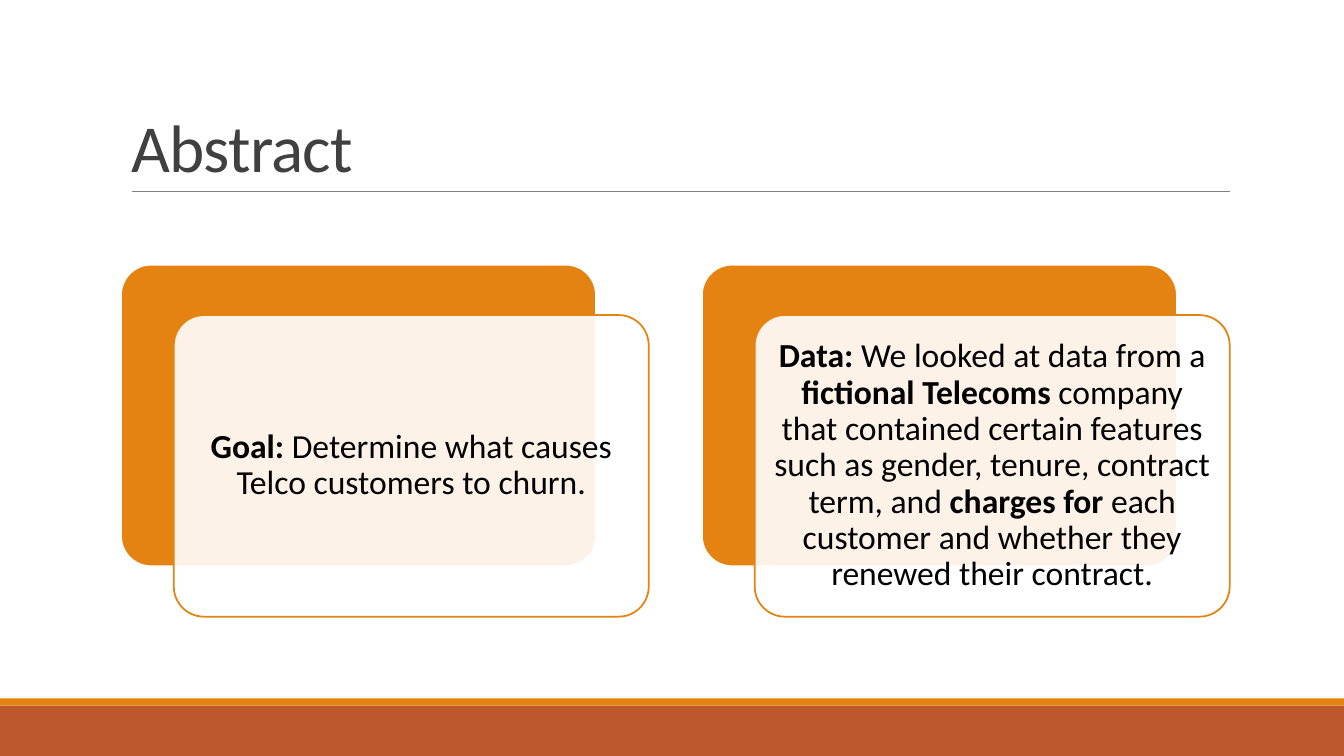
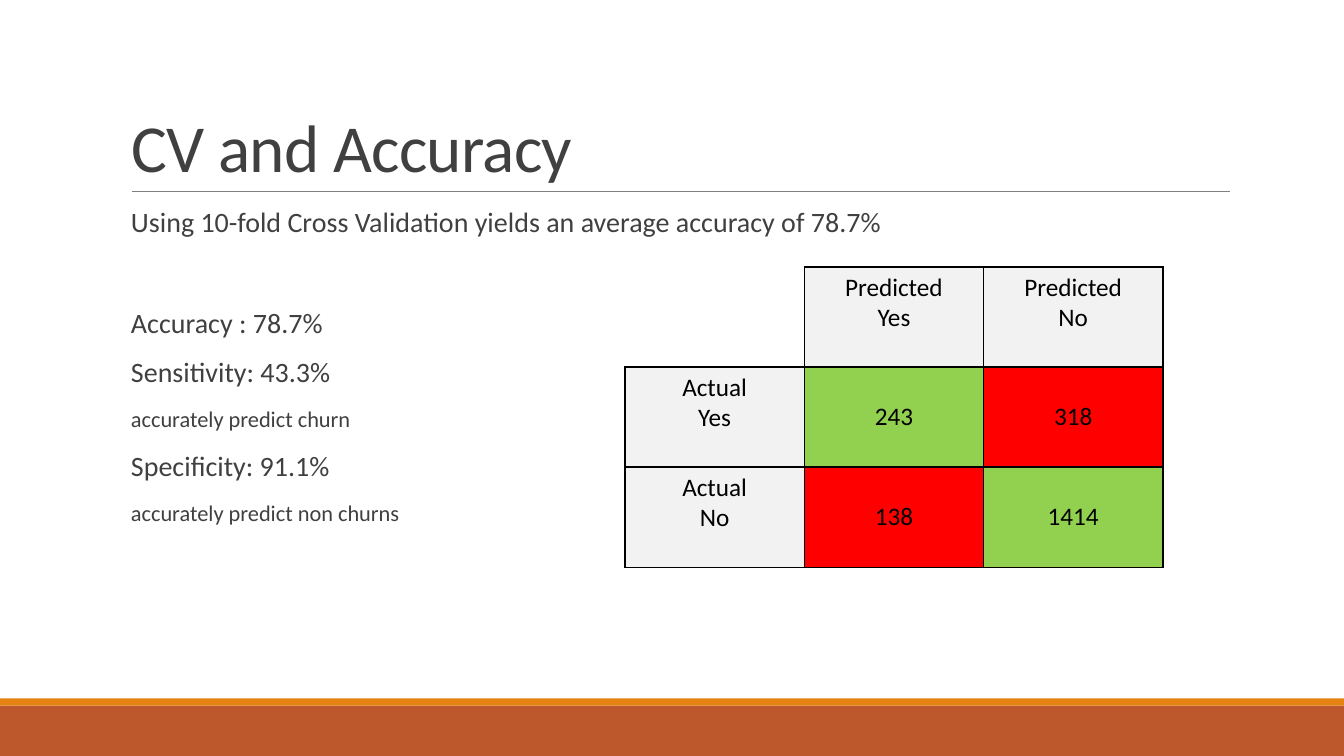
from lxml import etree
from pptx import Presentation
from pptx.dml.color import RGBColor
from pptx.enum import shapes, text
from pptx.oxml import ns
from pptx.util import Cm, Pt

FONT = "Calibri"
COLORS = {
    "rust": "BD582C", "orange": "E48312", "rule": "808080", "ink": "404040",
    "black": "000000", "white": "FFFFFF", "header": "F2F2F2",
    "correct": "92D050", "wrong": "FF0000",
}


def rgb(name):
    return RGBColor.from_string(COLORS[name])


def style_runs(paragraph, size, color):
    for run in paragraph.runs:
        run.font.name = FONT
        run.font.size = Pt(size)
        run.font.color.rgb = rgb(color)


deck = Presentation()
deck.slide_width, deck.slide_height = Cm(33.87), Cm(19.05)

# Slides and titles
abstract = deck.slides.add_slide(deck.slide_layouts[5])
accuracy = deck.slides.add_slide(deck.slide_layouts[1])
for slide, heading in ((abstract, "Abstract"), (accuracy, "CV and Accuracy")):
    title = slide.shapes.title
    title.left, title.top, title.width, title.height = Cm(3.05), Cm(0.8), Cm(27.94), Cm(4.03)
    frame = title.text_frame
    frame.text = heading
    frame.auto_size = text.MSO_AUTO_SIZE.NONE
    frame.vertical_anchor = text.MSO_ANCHOR.BOTTOM
    heading_line = frame.paragraphs[0]
    heading_line.alignment = text.PP_ALIGN.LEFT
    heading_line.line_spacing = 0.85
    style_runs(heading_line, 48, "ink")
    heading_line.runs[0].font._element.set("spc", "-50")

# Footer bands and title rule, drawn once and moved to the slide master
master_parts = []
for top, height, color in ((17.78, 1.27, "rust"), (17.6, 0.18, "orange")):
    band = abstract.shapes.add_shape(
        shapes.MSO_SHAPE.RECTANGLE, 0, Cm(top), deck.slide_width, Cm(height))
    band.shadow.inherit = False
    band.fill.solid()
    band.fill.fore_color.rgb = rgb(color)
    band.line.fill.background()
    master_parts.append(band)
title_rule = abstract.shapes.add_connector(
    shapes.MSO_CONNECTOR.STRAIGHT, Cm(3.32), Cm(4.82), Cm(31), Cm(4.82))
title_rule.line.color.rgb = rgb("rule")
title_rule.line.width = Pt(0.5)
etree.SubElement(title_rule._element.spPr, ns.qn("a:effectLst"))
master_parts.append(title_rule)
for number, part in enumerate(master_parts, start=20):
    part._element._nvXxPr.cNvPr.id = number
    deck.slide_master.shapes._spTree.insert_element_before(part._element, "p:extLst")

# Abstract: two cards, each a white panel over an orange one
CARD_LEFT, CARD_TOP, CARD_PITCH = 3.05, 6.67, 14.64
CARD_WIDTH, CARD_HEIGHT = 11.97, 7.6
PANEL_SHIFT = (1.33, 1.27)
cards = [
    [("Goal: ", True), ("Determine what causes Telco customers to churn.", False)],
    [("Data:", True), (" We looked at data from a ", False),
     ("fictional Telecoms", True),
     (" company that contained certain features such as gender, tenure, "
      "contract term, and ", False),
     ("charges for", True),
     (" each customer and whether they renewed their contract.", False)],
]
for index, phrases in enumerate(cards):
    left = CARD_LEFT + index * CARD_PITCH
    for (dx, dy), fill, edge in (((0, 0), "orange", "white"),
                                 (PANEL_SHIFT, "white", "orange")):
        panel = abstract.shapes.add_shape(
            shapes.MSO_SHAPE.ROUNDED_RECTANGLE, Cm(left + dx), Cm(CARD_TOP + dy),
            Cm(CARD_WIDTH), Cm(CARD_HEIGHT))
        panel.adjustments[0] = 0.1
        panel.shadow.inherit = False
        panel.fill.solid()
        panel.fill.fore_color.rgb = rgb(fill)
        panel.line.color.rgb = rgb(edge)
        panel.line.width = Pt(1.25)
    # The front panel is slightly transparent and carries the text
    white = panel._element.spPr.find(ns.qn("a:solidFill"))[0]
    etree.SubElement(white, ns.qn("a:alpha"), val="90000")
    frame = panel.text_frame
    frame.word_wrap = True
    frame.vertical_anchor = text.MSO_ANCHOR.MIDDLE
    frame.margin_left = frame.margin_right = Cm(0.25)
    frame.margin_top = frame.margin_bottom = Cm(0.25)
    statement = frame.paragraphs[0]
    statement.alignment = text.PP_ALIGN.CENTER
    statement.line_spacing = 0.9
    for phrase, bold in phrases:
        run = statement.add_run()
        run.text = phrase
        run.font.bold = bold
    style_runs(statement, 24, "black")

# Accuracy: list of measures as (text, size, space before)
measures = [
    ("Using 10-fold Cross Validation yields an average accuracy of 78.7%", 20, 12),
    ("Accuracy : 78.7%", 20, 48),
    ("Sensitivity: 43.3%", 20, 12),
    ("accurately predict churn", 16, 12),
    ("Specificity: 91.1%", 20, 12),
    ("accurately predict non churns", 16, 12),
]
body = accuracy.placeholders[1]
body.left, body.top, body.width, body.height = Cm(3.05), Cm(5.13), Cm(27.94), Cm(11.18)
frame = body.text_frame
frame.text = "\n".join(measure for measure, _, _ in measures)
frame.auto_size = text.MSO_AUTO_SIZE.NONE
frame.margin_left = frame.margin_right = 0
for paragraph, (_, size, gap) in zip(frame.paragraphs, measures):
    properties = paragraph._p.get_or_add_pPr()
    properties.set("marL", str(Cm(0.25)))
    properties.set("indent", "0")
    etree.SubElement(properties, ns.qn("a:buNone"))
    paragraph.line_spacing = 0.9
    paragraph.space_before = Pt(gap)
    paragraph.space_after = Pt(2)
    style_runs(paragraph, size, "ink")

# Accuracy: confusion matrix
matrix = [
    ["", "Predicted\nYes", "Predicted\nNo"],
    ["Actual\nYes", "243", "318"],
    ["Actual\nNo", "138", "1414"],
]
confusion = accuracy.shapes.add_table(
    3, 3, Cm(15.75), Cm(6.73), Cm(13.56), Cm(7.56)).table
confusion.first_row = confusion.horz_banding = False
for column in confusion.columns:
    column.width = Cm(4.52)
for row in confusion.rows:
    row.height = Cm(2.52)
for r, labels in enumerate(matrix):
    for c, label in enumerate(labels):
        cell = confusion.cell(r, c)
        corner = r == c == 0
        for side in ("lnL", "lnR", "lnT", "lnB"):
            border = etree.SubElement(
                cell._tc.get_or_add_tcPr(), ns.qn("a:" + side), w=str(Pt(1)))
            if corner and side in ("lnL", "lnT"):
                etree.SubElement(border, ns.qn("a:noFill"))
            else:
                stroke = etree.SubElement(border, ns.qn("a:solidFill"))
                etree.SubElement(stroke, ns.qn("a:srgbClr"), val=COLORS["black"])
        if corner:
            cell.fill.background()
            continue
        is_count = r > 0 and c > 0
        cell.fill.solid()
        cell.fill.fore_color.rgb = rgb(
            "header" if not is_count else "correct" if r == c else "wrong")
        cell.vertical_anchor = text.MSO_ANCHOR.MIDDLE if is_count else text.MSO_ANCHOR.TOP
        cell.text_frame.text = label
        for paragraph in cell.text_frame.paragraphs:
            paragraph.alignment = text.PP_ALIGN.CENTER
            style_runs(paragraph, 18, "black")

deck.save("out.pptx")
